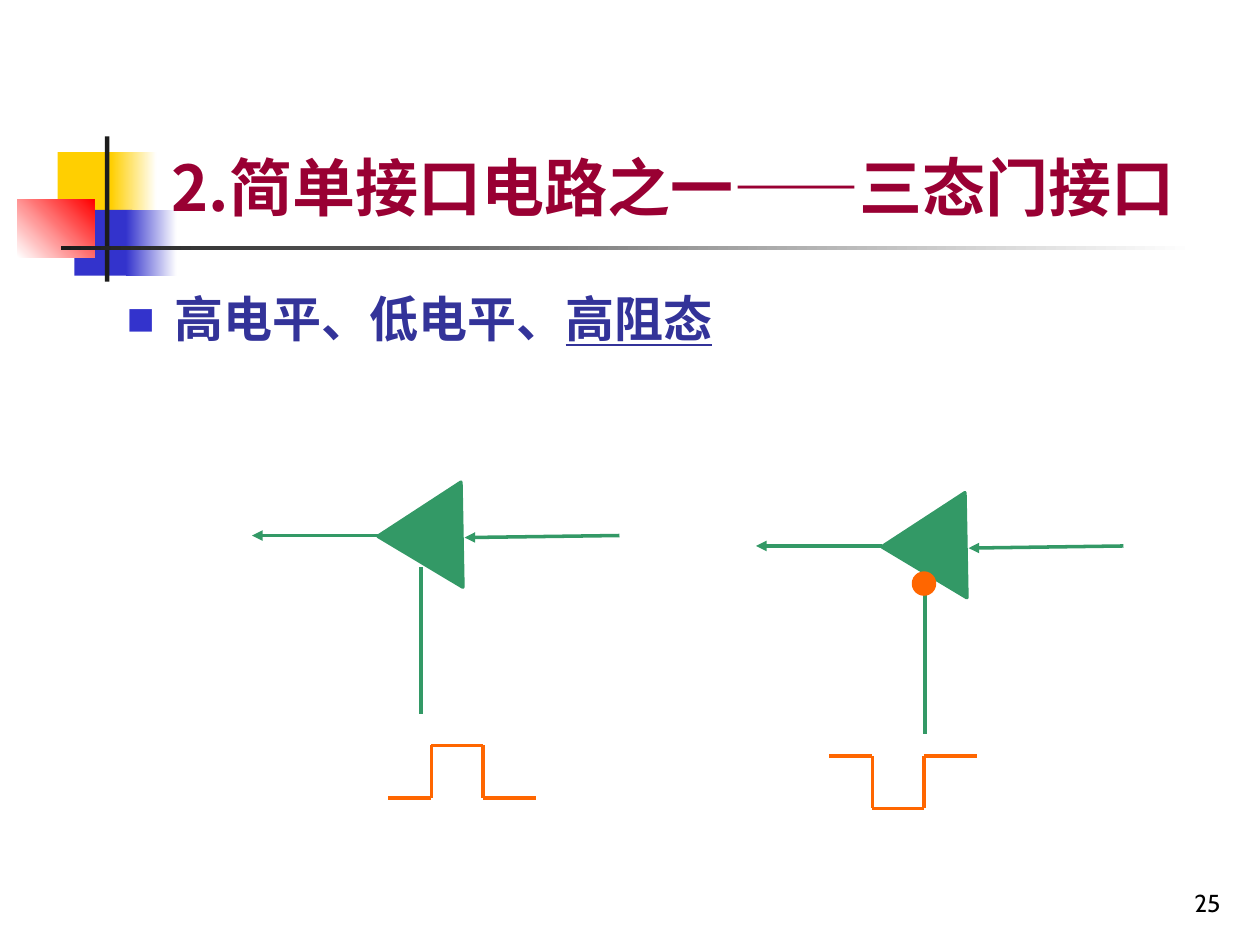
from itertools import pairwise

from lxml.etree import SubElement
from pptx import Presentation
from pptx.dml.color import RGBColor
from pptx.enum.shapes import MSO_CONNECTOR, MSO_SHAPE as SHAPE
from pptx.enum.text import MSO_ANCHOR as ANCHOR, PP_ALIGN as ALIGN
from pptx.oxml.ns import qn
from pptx.util import Pt

YELLOW = RGBColor(0xFF, 0xCF, 0x01)
BLUE = RGBColor(0x33, 0x33, 0xCC)
RED = RGBColor(0xFF, 0x00, 0x00)
INK = RGBColor(0x1C, 0x1C, 0x1C)
WHITE = RGBColor(0xFF, 0xFF, 0xFF)
BLACK = RGBColor(0x00, 0x00, 0x00)
CRIMSON = RGBColor(0x99, 0x00, 0x33)
INDIGO = RGBColor(0x33, 0x33, 0x99)
GREEN = RGBColor(0x33, 0x99, 0x66)
ORANGE = RGBColor(0xFF, 0x66, 0x00)

CJK_FONT = "Noto Sans CJK SC"
NUMBER_FONT = "Cabin"


def add_block(slide, kind, box, color, fade_to=None, angle=0, outlined=False):
    """Add a preset shape with a solid or two-colour gradient fill."""
    block = slide.shapes.add_shape(kind, *map(Pt, box))
    block.shadow.inherit = False
    if fade_to is None:
        block.fill.solid()
        block.fill.fore_color.rgb = color
    else:
        block.fill.gradient()
        block.fill.gradient_angle = angle
        for stop, stop_color, position in zip(block.fill.gradient_stops, (color, fade_to), (0, 1)):
            stop.color.rgb = stop_color
            stop.position = position
    if outlined:
        block.line.color.rgb = color
        block.line.width = Pt(2)
    else:
        block.line.fill.background()
    return block


def add_wire(slide, start, end, color, arrow=False):
    """Add a straight line, with an arrowhead at its end if asked."""
    wire = slide.shapes.add_connector(MSO_CONNECTOR.STRAIGHT, *map(Pt, (*start, *end)))
    wire.line.color.rgb = color
    wire.line.width = Pt(2)
    if arrow:
        SubElement(wire.line._get_or_add_ln(), qn("a:tailEnd"), type="triangle")
    SubElement(wire._element.spPr, qn("a:effectLst"))


def add_text(slide, box, text, *, size, color, font=CJK_FONT, bold=False,
             align=ALIGN.LEFT, anchor=ANCHOR.TOP, underlined="", bullet=None):
    """Add one paragraph, optionally bulleted and with an underlined ending."""
    text_box = slide.shapes.add_textbox(*map(Pt, box))
    frame = text_box.text_frame
    frame.word_wrap = True
    frame.vertical_anchor = anchor
    paragraph = frame.paragraphs[0]
    paragraph.alignment = align
    if bullet:
        properties = paragraph._p.get_or_add_pPr()
        properties.set("marL", str(Pt(27)))
        properties.set("indent", str(Pt(-27)))
        bullet_color = SubElement(properties, qn("a:buClr"))
        SubElement(bullet_color, qn("a:srgbClr"), val=str(BLUE))
        SubElement(properties, qn("a:buSzPct"), val="60000")
        SubElement(properties, qn("a:buFont"), typeface=NUMBER_FONT)
        SubElement(properties, qn("a:buChar"), char=bullet)
    for words, underline in ((text, False), (underlined, True)):
        if words:
            run = paragraph.add_run()
            run.text = words
            run.font.size = Pt(size)
            run.font.name = font
            run.font.bold = bold
            run.font.underline = underline
            run.font.color.rgb = color
            SubElement(run.font._element, qn("a:ea"), typeface=font)


def add_ornament(slide, left, top):
    """Draw the coloured squares and the crossed bars beside the title."""
    squares = (
        ((23, 9, 34.5, 37.5), YELLOW, None, 0),
        ((53.5, 9, 26, 37.5), YELLOW, WHITE, 0),
        ((32.5, 42, 33, 37.5), BLUE, None, 0),
        ((62, 42, 29, 37.5), BLUE, WHITE, 0),
        ((0, 36, 44, 33), WHITE, RED, 45),
        ((50, 0, 2.5, 83), INK, None, 0),
        ((25, 62.5, 648, 2.5), INK, WHITE, 0),
    )
    for (x, y, width, height), color, fade_to, angle in squares:
        add_block(slide, SHAPE.RECTANGLE, (left + x, top + y, width, height), color, fade_to, angle)


def add_gate(slide, left, top, active_low=False):
    """Draw a tri-state gate with its output, input and enable wires."""
    middle = top + 24
    enable_x = left + 96.5
    enable_top = top + (47.5 if active_low else 42)
    buffer = add_block(slide, SHAPE.ISOSCELES_TRIANGLE, (left + 66, top, 60, 48), GREEN, outlined=True)
    buffer.rotation = 268.9
    add_wire(slide, (left + 72, middle), (left, middle), GREEN, arrow=True)
    add_wire(slide, (left + 210, middle), (left + 121.5, middle + 1.2), GREEN, arrow=True)
    add_wire(slide, (enable_x, enable_top), (enable_x, enable_top + 84), GREEN)
    if active_low:
        add_block(slide, SHAPE.OVAL, (left + 90, top + 39.5, 12, 12), ORANGE, outlined=True)


def add_pulse(slide, left, top, active_low=False):
    """Draw a square enable pulse, going up or down."""
    high, low = top, top + 30
    rest, active = (high, low) if active_low else (low, high)
    rise, fall, right = left + 24.5, left + 54, left + 84
    corners = [(left, rest), (rise, rest), (rise, active), (fall, active), (fall, rest), (right, rest)]
    for start, end in pairwise(corners):
        add_wire(slide, start, end, ORANGE)


def main():
    """Build and save the slide."""
    deck = Presentation()
    deck.slide_width, deck.slide_height = Pt(720), Pt(540)
    slide = deck.slides.add_slide(deck.slide_layouts[6])
    add_ornament(slide, 10, 78)
    add_text(slide, (554.5, 492, 150, 36), "25", size=14, color=BLACK, font=NUMBER_FONT,
             align=ALIGN.RIGHT, anchor=ANCHOR.BOTTOM)
    add_text(slide, (91, 16.5, 613.5, 115), "2.简单接口电路之一——三态门接口", size=36,
             color=CRIMSON, bold=True, anchor=ANCHOR.BOTTOM)
    add_text(slide, (65.5, 161.5, 612, 75), "高电平、低电平、", underlined="高阻态", size=28,
             color=INDIGO, bold=True, bullet="■")
    add_gate(slide, 144, 282)
    add_gate(slide, 432, 288, active_low=True)
    add_pulse(slide, 222, 426)
    add_pulse(slide, 474, 432, active_low=True)
    deck.save("out.pptx")


if __name__ == "__main__":
    main()
